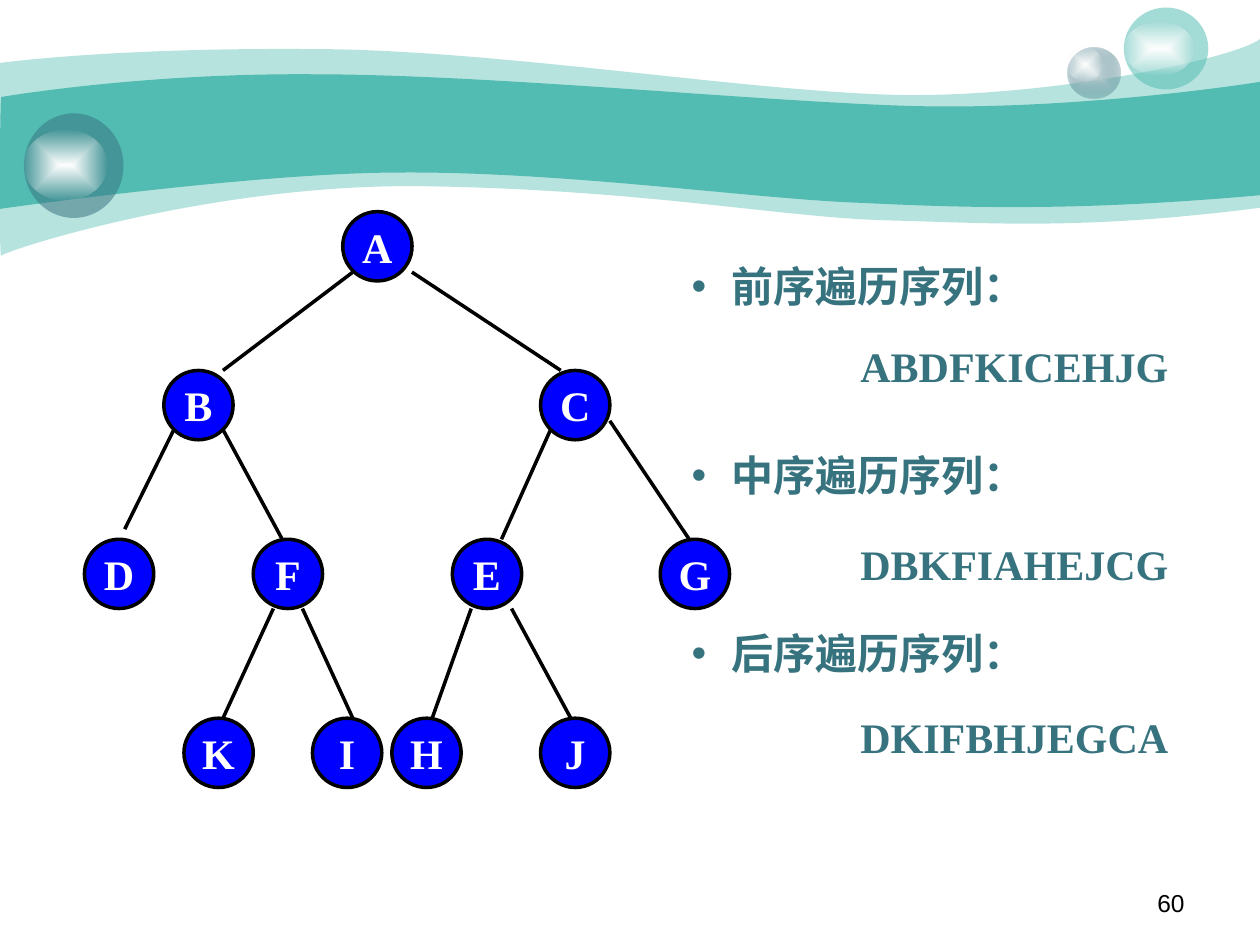
from lxml import etree
from pptx import Presentation
from pptx import util as u
from pptx.dml.color import RGBColor
from pptx.enum import shapes, text
from pptx.oxml import ns

# The slide is a grid of 100 columns by 75 rows; all lengths below count them.
WIDTH, HEIGHT = u.Inches(10), u.Inches(7.5)
COLUMN, ROW = WIDTH / 100, HEIGHT / 75
COLORS = {"wave": "52BCB2", "slate": "37737F", "mist": "CCDBDE", "node": "0000FF",
          "ink": "000000", "white": "FFFFFF"}
SERIF, SANS = "Times New Roman", "Arial"

# Each wave: opacity, start point, then segments; one point is a line, three a curve.
WAVES = [
    (41, (0, 5), [[(2.4, 4.7), (10.7, 3.8), (24.7, 3.9)], [(38.6, 3.9), (57.5, 7), (69.9, 7.5)],
                  [(82.2, 8), (98, 4.7), (100, 3.1)], [(100, 16.5)],
                  [(85.8, 18.3), (78.7, 17.7), (70.5, 17.5)],
                  [(62.2, 17.3), (51.5, 15.1), (34.3, 14.8)],
                  [(17.2, 14.4), (0.4, 19.9), (0.1, 20.3)], [(-0.1, 20.8), (0, 7.5), (0, 5)]]),
    (100, (0.1, 7.7), [[(0.2, 7.7), (11, 5.8), (24.8, 5.9)], [(38.6, 5.9), (59.5, 8), (71.8, 8.4)],
                       [(84.1, 8.8), (97.6, 6.9), (100, 6.5)], [(100, 15.5)],
                       [(85.3, 16.8), (76.5, 16.5), (68.2, 16.1)],
                       [(59.9, 15.8), (44.7, 13.6), (31.7, 13.7)],
                       [(20.3, 13.7), (-0.2, 16.6), (-0.1, 16.6)],
                       [(0, 16.6), (0, 7.7), (0.1, 7.7)]]),
]
# Each bubble: box, its colour stops, and the top, width and height of its shine.
BUBBLES = [
    ((84.7, 3.8, 4.2, 4), [("mist", 100), ("slate", 31)], (0, 2.8, 2.7)),
    ((89.2, 0.6, 6.7, 6.5), [("wave", 53)], (1.1, 5.6, 4.3)),
    ((1.9, 9, 7.9, 8.3), [("slate", 53)], (1.3, 6.6, 5.6)),
]
NODE_SIZE = 5.5
LEVELS = [0, 12.6, 26, 40.2]
NODES = {"A": (20.5, 0), "B": (6.3, 1), "C": (36.2, 1), "D": (0, 2), "E": (29.2, 2),
         "F": (13.4, 2), "K": (7.9, 3), "I": (18.1, 3), "J": (36.2, 3), "H": (24.4, 3),
         "G": (45.7, 2)}
# Parent, child, then the line's ends measured from each node's top left corner.
EDGES = [("A", "B", (0.8, 4.8), (4.7, 0)), ("A", "C", (5.5, 4.8), (1.6, 0)),
         ("B", "D", (0.8, 4.7), (3.2, -0.8)), ("B", "F", (4.7, 4.7), (2.3, 0)),
         ("C", "E", (0.8, 4.7), (3.9, 0)), ("C", "G", (5.5, 4), (2.3, 0)),
         ("F", "K", (1.6, 5.5), (3.1, 0)), ("F", "I", (3.9, 5.5), (3.2, 0)),
         ("E", "H", (1.5, 5.5), (3.2, 0)), ("E", "J", (4.7, 5.5), (2.4, 0))]
# Label, its row, the sequence and its row, from the top of the list.
SEQUENCES = [("前序遍历序列：", 0, "ABDFKICEHJG", 6.3),
             ("中序遍历序列：", 15, "DBKFIAHEJCG", 22.05),
             ("后序遍历序列：", 29.15, "DKIFBHJEGCA", 35.75)]


def place(x, y):
    return round(x * COLUMN), round(y * ROW)


def color(name):
    return RGBColor.from_string(COLORS[name])


def paint(shape, stops):
    """Fill with (colour, opacity) stops: one is solid, two run from centre to edge."""
    shape.shadow.inherit = False
    shape.line.fill.background()
    shape.fill.background()
    tints = [f'<a:srgbClr val="{COLORS[name]}"><a:alpha val="{alpha * 1000}"/></a:srgbClr>'
             for name, alpha in stops]
    if len(tints) == 1:
        markup = f'<a:solidFill {ns.nsdecls("a")}>{tints[0]}</a:solidFill>'
    else:
        markup = (f'<a:gradFill {ns.nsdecls("a")} rotWithShape="1"><a:gsLst>'
                  f'<a:gs pos="0">{tints[0]}</a:gs><a:gs pos="100000">{tints[1]}</a:gs></a:gsLst>'
                  '<a:path path="rect"><a:fillToRect l="50000" t="50000" r="50000" b="50000"/>'
                  '</a:path></a:gradFill>')
    empty = shape._element.spPr.find(ns.qn("a:noFill"))
    empty.getparent().replace(empty, etree.fromstring(markup))


def write(paragraph, words, size, font, tint, bold):
    run = paragraph.add_run()
    run.text = words
    run.font.size, run.font.name, run.font.bold = u.Pt(size), font, bold
    run.font.color.rgb = color(tint)


def add_text(slide, box, words, size=24, font=SERIF, tint="slate", bold=True):
    left, top, width, height = box
    frame = slide.shapes.add_textbox(*place(left, top), *place(width, height)).text_frame
    frame.word_wrap = True
    write(frame.paragraphs[0], words, size, font, tint, bold)
    return frame.paragraphs[0]


def add_bullet(paragraph, indent):
    properties = paragraph._p.get_or_add_pPr()
    properties.set("marL", str(indent))
    properties.set("indent", str(-indent))
    tint = etree.SubElement(properties, ns.qn("a:buClr"))
    etree.SubElement(tint, ns.qn("a:srgbClr"), val=COLORS["slate"])
    etree.SubElement(properties, ns.qn("a:buFont"), typeface=SANS)
    etree.SubElement(properties, ns.qn("a:buChar"), char="•")


def bend(shape, segments):
    """Turn each run of three straight steps that belongs to a curve into that curve."""
    steps = iter(list(shape._element.iter(ns.qn("a:lnTo"))))
    for segment in segments:
        parts = [next(steps) for _ in segment]
        if len(parts) == 3:
            curve = etree.Element(ns.qn("a:cubicBezTo"))
            parts[0].addprevious(curve)
            for part in parts:
                curve.append(part[0])
                part.getparent().remove(part)


def add_waves(slide, left, top):
    for alpha, start, segments in WAVES:
        points = [place(left + x, top + y) for x, y in [start] + sum(segments, [])]
        builder = slide.shapes.build_freeform(*points[0])
        builder.add_line_segments(points[1:], close=True)
        wave = builder.convert_to_shape()
        bend(wave, segments)
        paint(wave, [("wave", alpha)])


def add_bubble(slide, box, stops, shine):
    left, top, width, height = box
    drop, shine_width, shine_height = shine
    group = slide.shapes.add_group_shape()
    for y, w, h, fill in [(top, width, height, stops),
                          (top + drop, shine_width, shine_height, [("white", 100), ("white", 0)])]:
        oval = group.shapes.add_shape(shapes.MSO_SHAPE.OVAL, *place(left, y), *place(w, h))
        paint(oval, fill)


def add_tree(slide, left, top):
    group = slide.shapes.add_group_shape()
    corners = {name: (left + x, top + LEVELS[level]) for name, (x, level) in NODES.items()}
    for name, corner in corners.items():
        node = group.shapes.add_shape(shapes.MSO_SHAPE.OVAL, *place(*corner),
                                      *place(NODE_SIZE, NODE_SIZE))
        node.shadow.inherit = False
        node.fill.solid()
        node.fill.fore_color.rgb = color("node")
        node.line.color.rgb, node.line.width = color("ink"), u.Pt(2)
        frame = node.text_frame
        frame.word_wrap = False
        frame.vertical_anchor = text.MSO_ANCHOR.MIDDLE
        frame.paragraphs[0].alignment = text.PP_ALIGN.CENTER
        write(frame.paragraphs[0], name, 24, SERIF, "white", True)
    for parent, child, start, end in EDGES:
        ends = [place(corners[name][0] + dx, corners[name][1] + dy)
                for name, (dx, dy) in ((parent, start), (child, end))]
        edge = group.shapes.add_connector(shapes.MSO_CONNECTOR.STRAIGHT, *ends[0], *ends[1])
        edge.line.color.rgb, edge.line.width = color("ink"), u.Pt(2)
        etree.SubElement(edge._element.spPr, ns.qn("a:effectLst"))


def add_sequences(slide, left, top):
    for _, _, sequence, row in SEQUENCES:
        add_text(slide, (left + 13.4, top + row, 31.5, 5), sequence)
    for label, row, _, _ in SEQUENCES:
        paragraph = add_text(slide, (left, top + row, 29.9, 5), label)
        add_bullet(paragraph, round(3.15 * COLUMN))


def main():
    presentation = Presentation()
    presentation.slide_width, presentation.slide_height = WIDTH, HEIGHT
    slide = presentation.slides.add_slide(presentation.slide_layouts[6])
    add_waves(slide, 0, 0)
    for bubble in BUBBLES:
        add_bubble(slide, *bubble)
    number = add_text(slide, (71.7, 70, 23.3, 3.5), "60", 14, SANS, "ink", False)
    number.alignment = text.PP_ALIGN.RIGHT
    add_tree(slide, 6.7, 16.8)
    add_sequences(slide, 53.9, 20.2)
    presentation.save("out.pptx")


if __name__ == "__main__":
    main()
